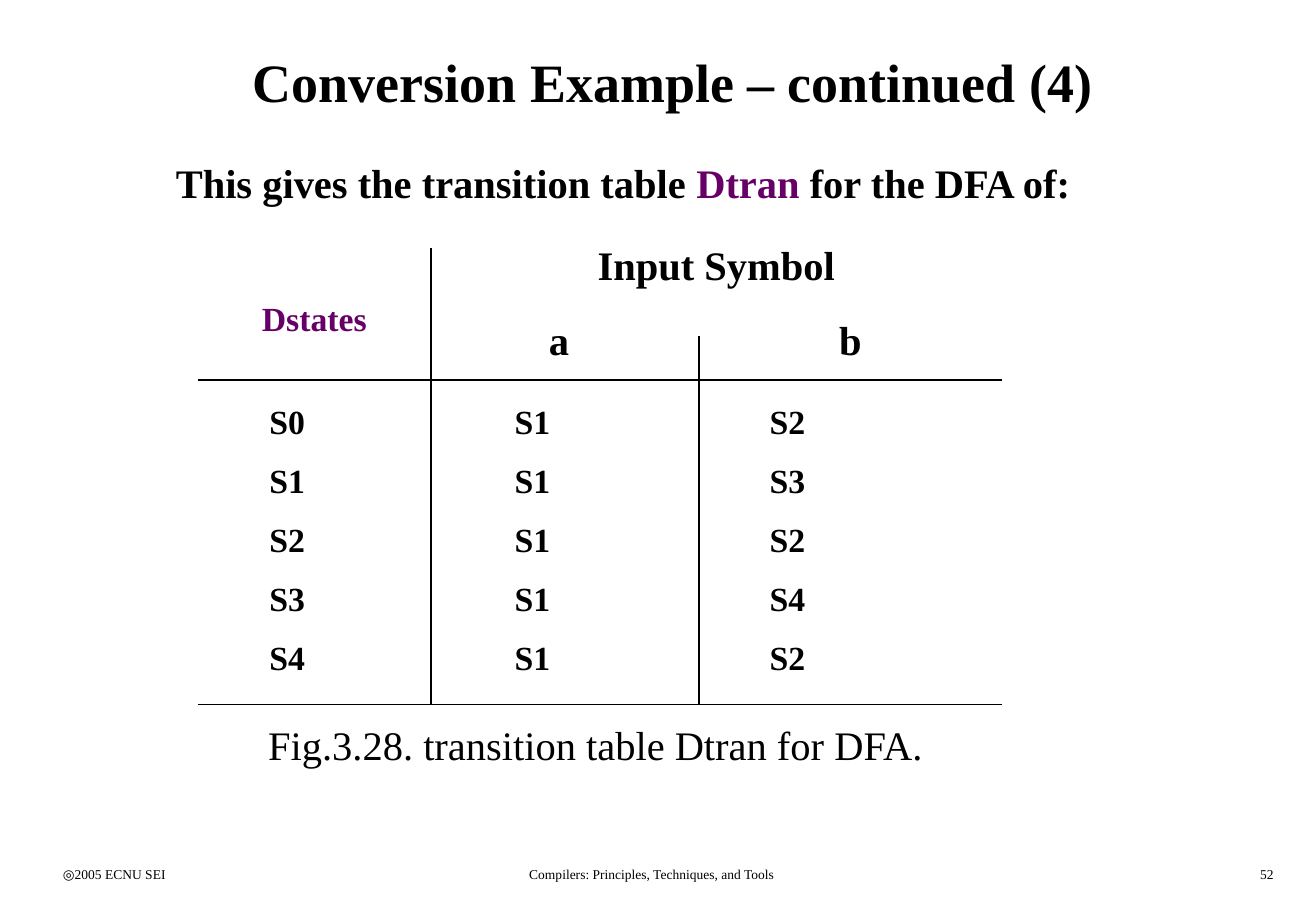
from dataclasses import dataclass

from lxml import etree
from pptx import Presentation
from pptx.dml.color import RGBColor
from pptx.enum.shapes import MSO_CONNECTOR
from pptx.enum.text import MSO_ANCHOR, PP_ALIGN
from pptx.oxml.ns import qn
from pptx.util import Inches, Pt

LEFT, CENTER, RIGHT = PP_ALIGN.LEFT, PP_ALIGN.CENTER, PP_ALIGN.RIGHT
TOP, MIDDLE = MSO_ANCHOR.TOP, MSO_ANCHOR.MIDDLE
STRAIGHT = MSO_CONNECTOR.STRAIGHT
NO_GRID_STYLE = "{2D5ABB26-0587-4C30-8999-92F81FD0307C}"


@dataclass(frozen=True)
class Theme:
    font: str = "Times New Roman"
    ink: RGBColor = RGBColor(0x00, 0x00, 0x00)
    accent: RGBColor = RGBColor(0x66, 0x00, 0x66)
    title: int = 32
    body: int = 24
    state: int = 20
    footer: int = 8
    rule: int = 1


THEME = Theme()

STATES = ["S0", "S1", "S2", "S3", "S4"]
DTRAN = {"a": ["S1"] * 5, "b": ["S2", "S3", "S2", "S4", "S2"]}


def write(frame, runs, size, bold=False, align=LEFT, anchor=TOP):
    """Fill one paragraph from (text, colour) pairs."""
    frame.vertical_anchor = anchor
    paragraph = frame.paragraphs[0]
    paragraph.alignment = align
    for text, color in runs:
        run = paragraph.add_run()
        run.text = text
        run.font.name = THEME.font
        run.font.size = Pt(size)
        run.font.bold = bold
        run.font.color.rgb = color


def add_text(slide, box, runs, size, **style):
    frame = slide.shapes.add_textbox(*map(Inches, box)).text_frame
    frame.word_wrap = True
    write(frame, runs, size, **style)


def add_rule(slide, start, end):
    rule = slide.shapes.add_connector(STRAIGHT, *map(Inches, start + end))
    rule.line.color.rgb = THEME.ink
    rule.line.width = Pt(THEME.rule)
    etree.SubElement(rule._element.spPr, qn("a:effectLst"))


def add_title(slide, box, text):
    title = slide.shapes.title
    title.left, title.top, title.width, title.height = map(Inches, box)
    write(title.text_frame, [(text, THEME.ink)], THEME.title,
          bold=True, align=CENTER, anchor=MIDDLE)


def fill_cell(cell, text, size, color=THEME.ink, align=CENTER,
              left=0, top=0, right=0, bottom=0):
    cell.margin_left, cell.margin_top = Inches(left), Inches(top)
    cell.margin_right, cell.margin_bottom = Inches(right), Inches(bottom)
    cell.vertical_anchor = MIDDLE
    write(cell.text_frame, [(text, color)], size,
          bold=True, align=align, anchor=MIDDLE)


def add_transition_table(slide, box):
    """Place the Dtran grid in the box, then its open-sided rules."""
    left, top, width, height = box
    column_widths = [1.92, 2.21, width - 1.92 - 2.21]
    header_heights = [0.55, 0.77]
    row_height = (height - sum(header_heights)) / len(STATES)
    row_heights = header_heights + [row_height] * len(STATES)

    frame = slide.shapes.add_table(len(row_heights), len(column_widths),
                                   *map(Inches, box))
    table = frame.table
    table._tbl.tblPr.find(qn("a:tableStyleId")).text = NO_GRID_STYLE
    table.horz_banding = False
    for column, column_width in zip(table.columns, column_widths):
        column.width = Inches(column_width)
    for row, height_in in zip(table.rows, row_heights):
        row.height = Inches(height_in)
    for cell in table.iter_cells():
        cell.fill.background()

    table.cell(0, 0).merge(table.cell(1, 0))
    table.cell(0, 1).merge(table.cell(0, 2))
    fill_cell(table.cell(0, 0), "Dstates", THEME.state, THEME.accent, top=0.11)
    fill_cell(table.cell(0, 1), "Input Symbol", THEME.body)
    for index, (symbol, inset) in enumerate(zip(DTRAN, [0.1, 0]), start=1):
        fill_cell(table.cell(1, index), symbol, THEME.body,
                  right=inset, bottom=0.09)

    state_columns = [STATES, *DTRAN.values()]
    for col, (states, indent) in enumerate(zip(state_columns, [0.59, 0.69, 0.58])):
        for row, state in enumerate(states, start=len(header_heights)):
            fill_cell(table.cell(row, col), state, THEME.state,
                      align=LEFT, left=indent)

    right = left + width
    header_rule, bottom_rule = top + 1.21, top + 3.88
    states_edge = left + column_widths[0]
    symbols_edge = states_edge + column_widths[1]
    for y in (header_rule, bottom_rule):
        add_rule(slide, (left, y), (right, y))
    for x, start in ((states_edge, top + 0.12), (symbols_edge, top + 0.85)):
        add_rule(slide, (x, start), (x, bottom_rule))


def add_footer(slide, box):
    left, top, width, height = box
    side, middle = 2.26, 4.06
    parts = [
        ("◎2005 ECNU SEI", left, side, LEFT),
        ("Compilers: Principles, Techniques, and Tools", left + 2.92, middle, CENTER),
        ("52", left + width - side, side, RIGHT),
    ]
    for text, x, part_width, align in parts:
        add_text(slide, (x, top, part_width, height), [(text, THEME.ink)],
                 THEME.footer, align=align)


def main():
    deck = Presentation()
    deck.slide_width, deck.slide_height = Inches(10.84), Inches(7.5)
    slide = deck.slides.add_slide(deck.slide_layouts[5])

    add_title(slide, (0.42, 0.17, 10.25, 1), "Conversion Example – continued (4)")
    add_text(slide, (1.35, 1.25, 9.06, 0.5),
             [("This gives the transition table ", THEME.ink),
              ("Dtran ", THEME.accent),
              ("for the DFA of:", THEME.ink)],
             THEME.body, bold=True)
    add_transition_table(slide, (1.63, 1.92, 6.62, 3.75))
    add_text(slide, (2.11, 5.88, 5.75, 0.5),
             [("Fig.3.28. transition table Dtran for DFA.", THEME.ink)], THEME.body)
    add_footer(slide, (0.42, 7.08, 10.17, 0.25))
    deck.save("out.pptx")


if __name__ == "__main__":
    main()
